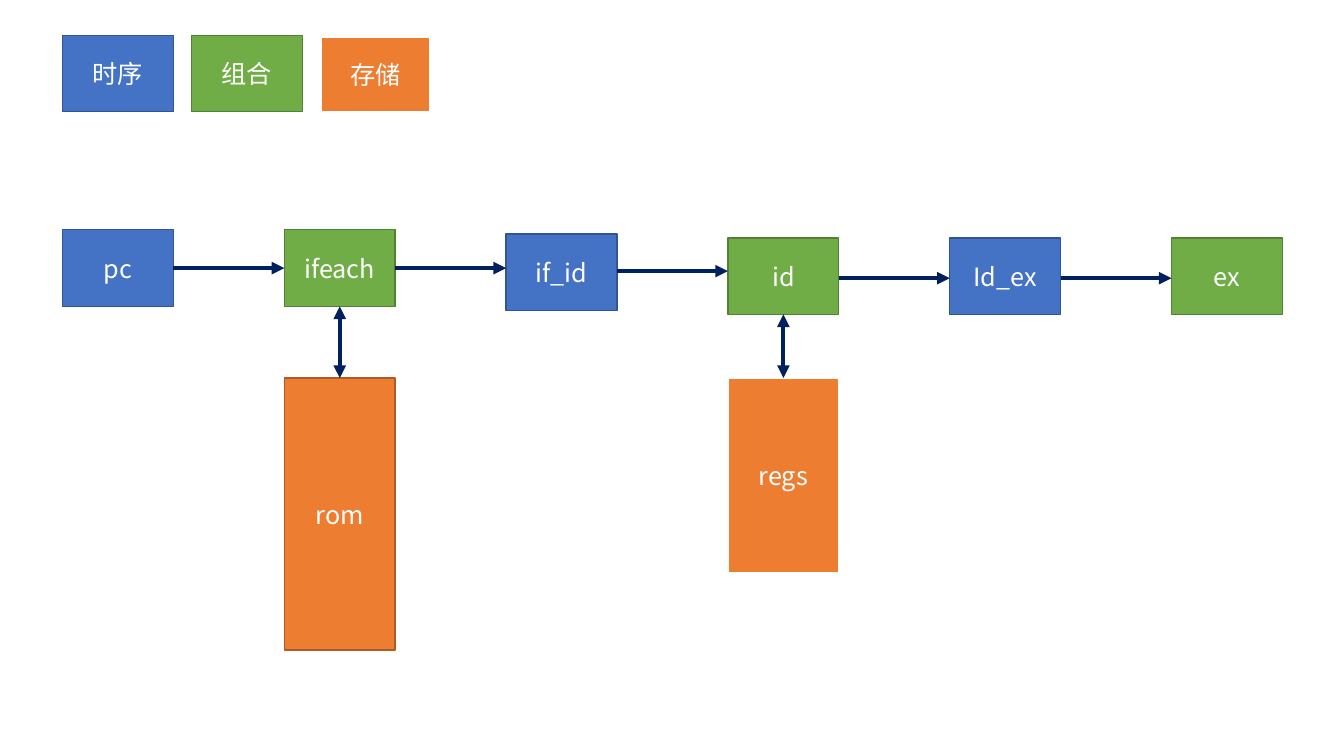
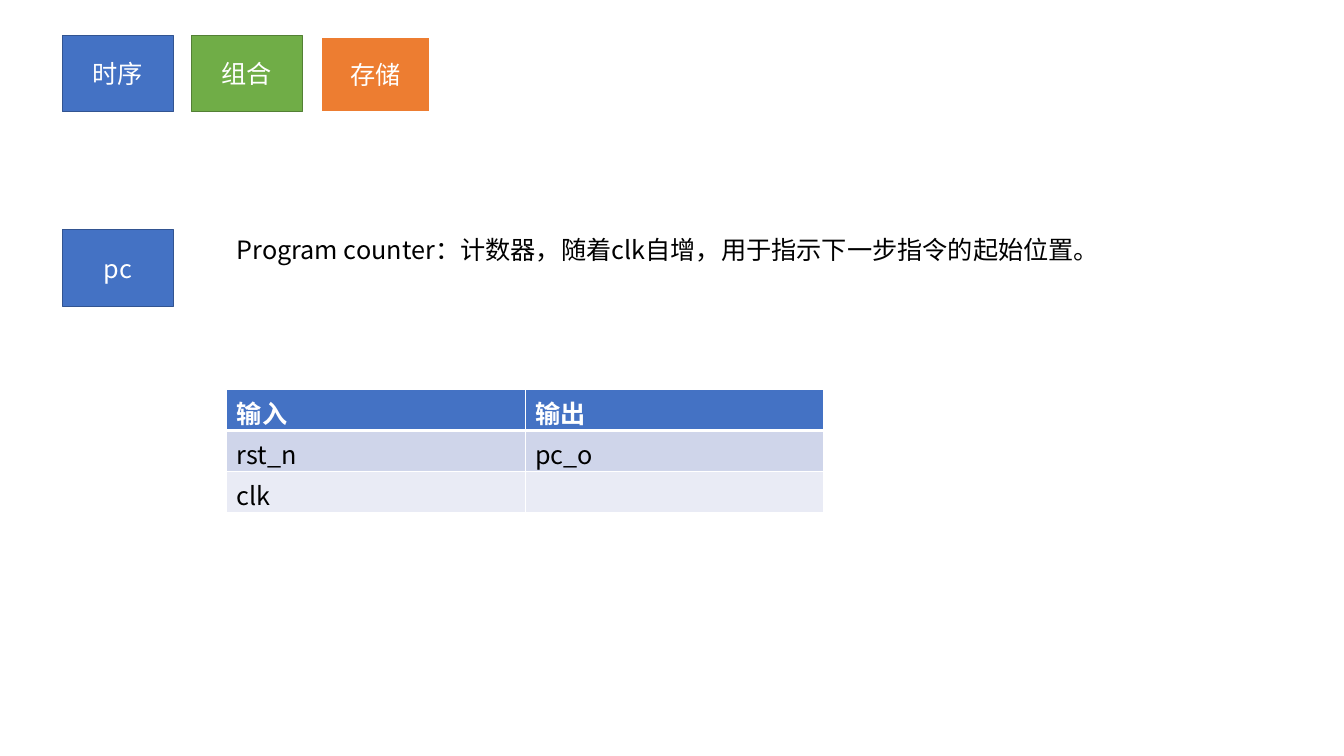
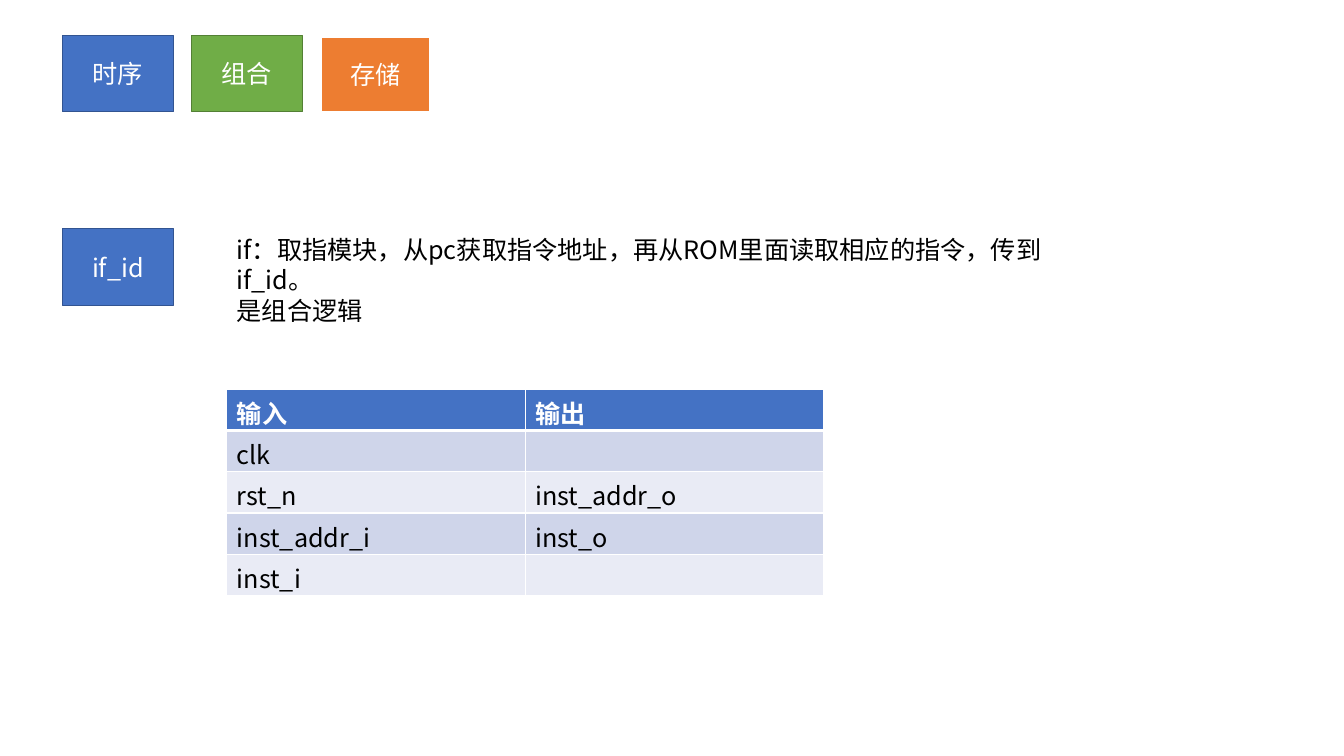
from lxml import etree
from pptx import Presentation
from pptx.dml.color import RGBColor
from pptx.enum.shapes import MSO_CONNECTOR, MSO_SHAPE
from pptx.enum.text import MSO_ANCHOR, PP_ALIGN
from pptx.oxml.ns import qn
from pptx.util import Inches, Pt

RECTANGLE = MSO_SHAPE.RECTANGLE
STRAIGHT = MSO_CONNECTOR.STRAIGHT
MIDDLE = MSO_ANCHOR.MIDDLE
LEFT, CENTER = PP_ALIGN.LEFT, PP_ALIGN.CENTER

WHITE = RGBColor(0xFF, 0xFF, 0xFF)
BLACK = RGBColor(0x00, 0x00, 0x00)
NAVY = RGBColor(0x00, 0x20, 0x60)
BLUE = RGBColor(0x44, 0x72, 0xC4)
BLUE_EDGE = RGBColor(0x32, 0x54, 0x91)
GREEN = RGBColor(0x70, 0xAD, 0x47)
GREEN_EDGE = RGBColor(0x53, 0x80, 0x35)
ORANGE = RGBColor(0xED, 0x7D, 0x31)
ORANGE_EDGE = RGBColor(0xAF, 0x5C, 0x24)
BANDS = [RGBColor(0xE9, 0xEB, 0xF5), RGBColor(0xCF, 0xD5, 0xEA)]

FONT = "Noto Sans CJK SC"
SEQUENTIAL = (BLUE, BLUE_EDGE, 1)
COMBINATIONAL = (GREEN, GREEN_EDGE, 1)
STORAGE = (ORANGE, WHITE, 1.5)
ROM_STORAGE = (ORANGE, ORANGE_EDGE, 1)

MARGIN = 0.62
BLOCK_W, BLOCK_H = 1.1, 0.76
STAGE_STEP = 2 * BLOCK_W
LEGEND_STEP = 1.28
MEMORY_TOP = 3.75
DETAIL_LEFT, DETAIL_TOP = 2.25, 2.27
TABLE_TOP, COLUMN_W, ROW_H = 3.86, 2.96, 0.41


def write(paragraph, text, color, align=LEFT, bold=False):
    paragraph.text = text
    paragraph.alignment = align
    font = paragraph.font
    font.size = Pt(18)
    font.bold = bold
    font.color.rgb = color
    font.name = FONT
    defaults = paragraph._p.pPr.find(qn("a:defRPr"))
    etree.SubElement(defaults, qn("a:ea"), typeface=FONT)


def add_block(slide, text, left, top, kind, width=BLOCK_W, height=BLOCK_H):
    fill, edge, weight = kind
    block = slide.shapes.add_shape(
        RECTANGLE, Inches(left), Inches(top), Inches(width), Inches(height))
    block.shadow.inherit = False
    block.fill.solid()
    block.fill.fore_color.rgb = fill
    block.line.color.rgb = edge
    block.line.width = Pt(weight)
    block.text_frame.vertical_anchor = MIDDLE
    write(block.text_frame.paragraphs[0], text, WHITE, CENTER)


deck = Presentation()
deck.slide_width, deck.slide_height = Inches(13.33), Inches(7.5)
slides = [deck.slides.add_slide(deck.slide_layouts[6]) for _ in range(3)]
pipeline = slides[0]

for slide in slides:
    add_block(slide, "时序", MARGIN, 0.35, SEQUENTIAL)
    add_block(slide, "组合", MARGIN + LEGEND_STEP, 0.35, COMBINATIONAL)
    add_block(slide, "存储", MARGIN + 2 * LEGEND_STEP, 0.37, STORAGE, 1.09, 0.74)

stages = [
    ("pc", 2.28, SEQUENTIAL),
    ("ifeach", 2.28, COMBINATIONAL),
    ("if_id", 2.32, SEQUENTIAL),
    ("id", 2.36, COMBINATIONAL),
    ("Id_ex", 2.36, SEQUENTIAL),
    ("ex", 2.36, COMBINATIONAL),
]
for column, (name, top, kind) in enumerate(stages):
    add_block(pipeline, name, MARGIN + column * STAGE_STEP, top, kind)

arrows = []
for column, y in enumerate([2.66, 2.66, 2.69, 2.76, 2.76]):
    start = MARGIN + column * STAGE_STEP + BLOCK_W
    arrows.append((start, y, start + STAGE_STEP - BLOCK_W, y, ["tailEnd"]))

for name, column, height, kind in [("rom", 1, 2.7, ROM_STORAGE),
                                   ("regs", 3, 1.94, STORAGE)]:
    left = MARGIN + column * STAGE_STEP
    add_block(pipeline, name, left, MEMORY_TOP, kind, height=height)
    middle = left + BLOCK_W / 2
    stage_bottom = stages[column][1] + BLOCK_H
    arrows.append((middle, stage_bottom, middle, MEMORY_TOP, ["headEnd", "tailEnd"]))

for x1, y1, x2, y2, tips in arrows:
    arrow = pipeline.shapes.add_connector(
        STRAIGHT, Inches(x1), Inches(y1), Inches(x2), Inches(y2))
    arrow.line.color.rgb = NAVY
    arrow.line.width = Pt(3)
    line = arrow.line._get_or_add_ln()
    for tip in tips:
        etree.SubElement(line, qn("a:" + tip), type="triangle")
    etree.SubElement(arrow._element.spPr, qn("a:effectLst"))

modules = [
    ("pc", 2.28, 8.64, 0.4,
     ["Program counter：计数器，随着clk自增，用于指示下一步指令的起始位置。"],
     [("rst_n", "pc_o"), ("clk", "")]),
    ("if_id", 2.27, 8.9, 0.71,
     ["if：取指模块，从pc获取指令地址，再从ROM里面读取相应的指令，传到if_id。",
      "是组合逻辑"],
     [("clk", ""), ("rst_n", "inst_addr_o"), ("inst_addr_i", "inst_o"), ("inst_i", "")]),
]
for slide, (name, top, width, height, description, ports) in zip(slides[1:], modules):
    add_block(slide, name, MARGIN, top, SEQUENTIAL)

    summary = slide.shapes.add_textbox(
        Inches(DETAIL_LEFT), Inches(DETAIL_TOP), Inches(width), Inches(height)).text_frame
    summary.word_wrap = True
    for index, sentence in enumerate(description):
        paragraph = summary.add_paragraph() if index else summary.paragraphs[0]
        write(paragraph, sentence, BLACK)
        paragraph.line_spacing = Pt(21.8)

    rows = [("输入", "输出")] + ports
    port_table = slide.shapes.add_table(
        len(rows), 2, Inches(DETAIL_LEFT), Inches(TABLE_TOP),
        Inches(2 * COLUMN_W), Inches(ROW_H * len(rows))).table
    for row, signals in enumerate(rows):
        header = row == 0
        port_table.rows[row].height = Inches(ROW_H)
        for column, signal in enumerate(signals):
            cell = port_table.cell(row, column)
            cell.margin_bottom = 0
            write(cell.text_frame.paragraphs[0], signal,
                  WHITE if header else BLACK, bold=header)
            properties = cell._tc.get_or_add_tcPr()
            for side in "LRTB":
                thick = (header and side == "B") or (row == 1 and side == "T")
                border = etree.SubElement(
                    properties, qn("a:ln" + side), w=str(Pt(3 if thick else 1)))
                paint = etree.SubElement(border, qn("a:solidFill"))
                etree.SubElement(paint, qn("a:srgbClr"), val=str(WHITE))
            cell.fill.solid()
            cell.fill.fore_color.rgb = BLUE if header else BANDS[row % 2]

deck.save("out.pptx")
